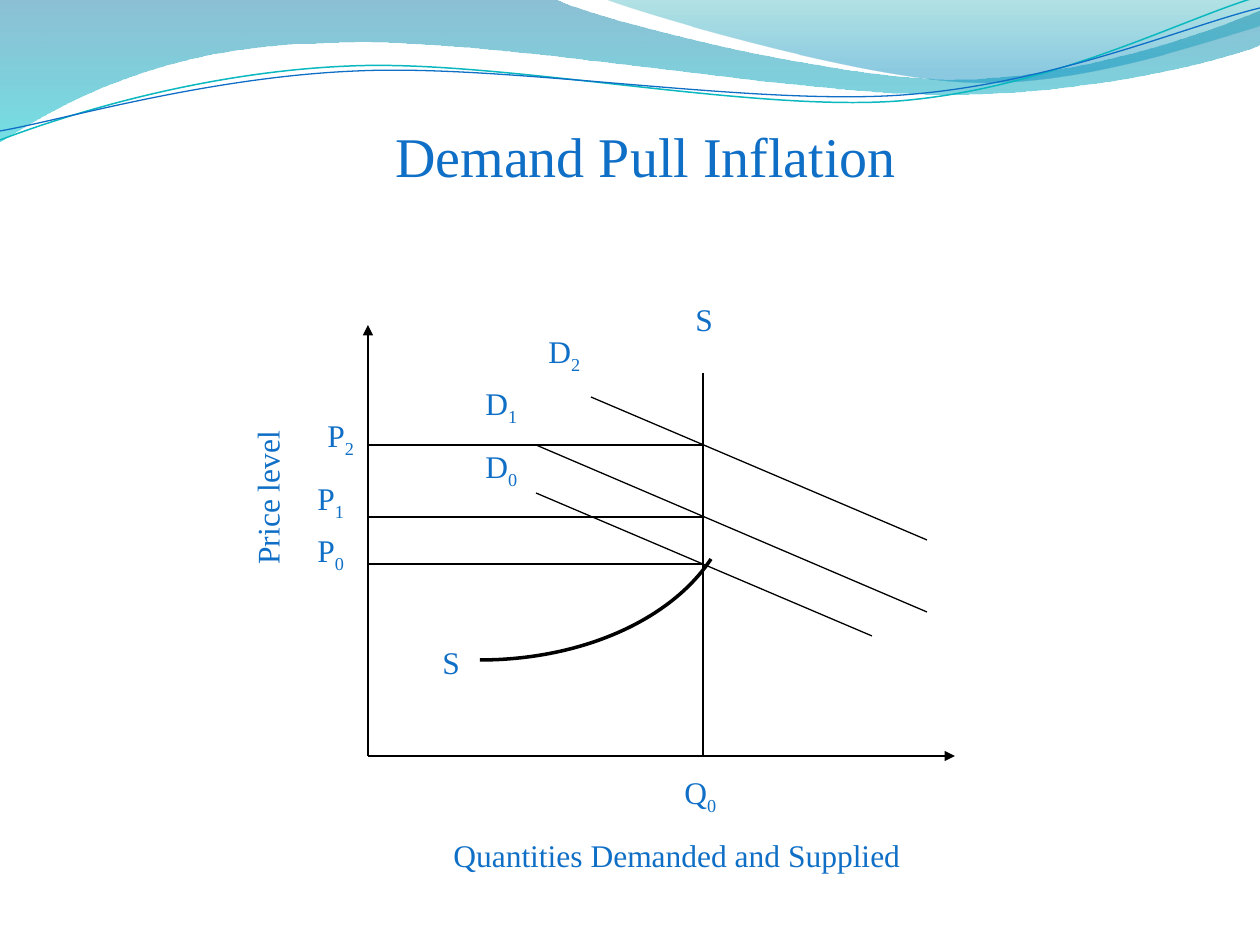
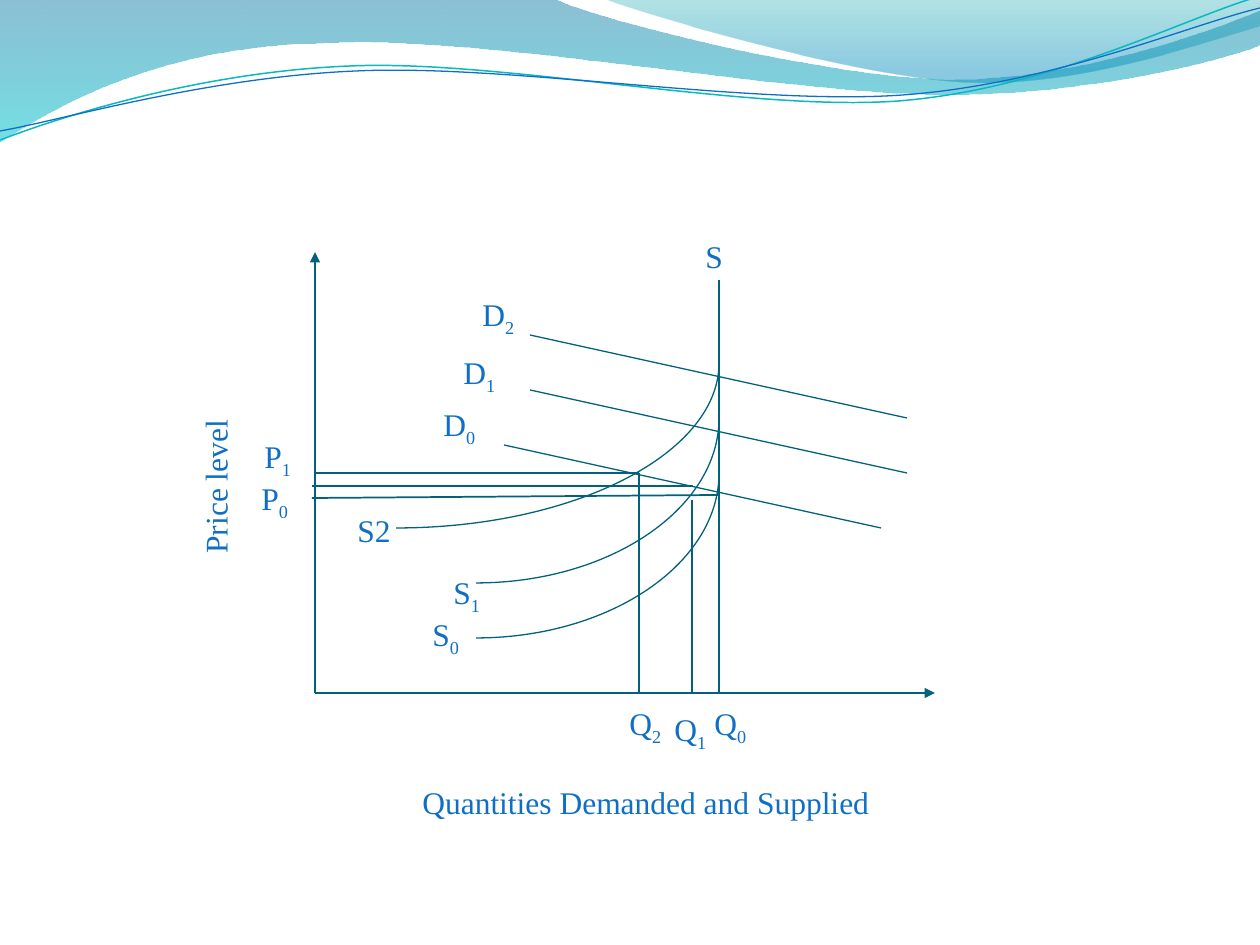
import pptx
import pptx.dml.color
import pptx.enum.shapes
import pptx.enum.text
import pptx.oxml
import pptx.oxml.ns
import pptx.util

PX = 914400 / 126
FONT = "Times New Roman"
COLORS = {
    "text": "0F6FC6",
    "black": "000000",
    "petrol": "04617B",
    "wave_teal": "0AB8BF",
    "band_top": "0074A1",
    "band_bottom": "00C6CF",
    "crest_top": "00A1A9",
    "crest_bottom": "008BBF",
}
LABEL_HEIGHT = 50
SYMBOL_WIDTHS = {"P": 43, "S": 43, "D": 49, "Q": 49, "S2": 59}
SUBSCRIPT_WIDTH = 10

# Outlines: a start point, then segments of one point (line) or three (curve).
BAND = [(0, 0), [(554, -1)],
        [(600, 21), (837, 79), (955, 79)],
        [(1075, 79), (1207, 33), (1260, 11)], [(1261, 45)],
        [(1239, 55), (1096, 96), (940, 94)],
        [(783, 94), (481, 35), (324, 43)],
        [(163, 45), (58, 105), (-1, 142)]]
CREST = [(604, -1), [(641, 14), (859, 78), (969, 82)],
         [(1079, 87), (1211, 40), (1260, 26)], [(1260, 0)]]
TEAL_WAVE = [(0, 140), [(60, 117), (199, 72), (349, 66)],
             [(498, 59), (747, 112), (898, 101)],
             [(1050, 89), (1182, 19), (1257, -3)]]
BLUE_WAVE = [(0, 131), [(59, 121), (207, 77), (357, 71)],
             [(508, 64), (752, 106), (903, 95)],
             [(1053, 84), (1186, 26), (1260, 8)]]


def px(length):
    return pptx.util.Emu(round(length * PX))


def rgb(name):
    return pptx.dml.color.RGBColor.from_string(COLORS[name])


def new_drawing_element(tag, **attributes):
    element = pptx.oxml.parse_xml(f"<a:{tag} {pptx.oxml.ns.nsdecls('a')}/>")
    for name, value in attributes.items():
        element.set(name, str(value))
    return element


def find_all(shape, tag):
    return list(shape.element.iter(pptx.oxml.ns.qn(tag)))


def style_line(shape, color, width):
    shape.line.color.rgb = rgb(color)
    shape.line.width = pptx.util.Pt(width)


def add_outline(slide, outline, closed=False):
    """Draw the points as a polygon, then bend each three-point segment."""
    start, *segments = outline
    points = [(px(x), px(y)) for segment in segments for x, y in segment]
    builder = slide.shapes.build_freeform(*map(px, start))
    builder.add_line_segments(points, close=closed)
    shape = builder.convert_to_shape()
    shape.shadow.inherit = False
    steps = iter(find_all(shape, "a:lnTo"))
    for segment in segments:
        segment_steps = [next(steps) for _ in segment]
        if len(segment) == 3:
            curve = new_drawing_element("cubicBezTo")
            segment_steps[0].addprevious(curve)
            for step in segment_steps:
                curve.append(step[0])
                step.getparent().remove(step)
    return shape


def add_curve(slide, outline, color, width):
    shape = add_outline(slide, outline)
    shape.fill.background()
    style_line(shape, color, width)
    return shape


def add_gradient_area(slide, outline, stops):
    """Fill downwards; stops are (position, colour, opacity percent)."""
    shape = add_outline(slide, outline, closed=True)
    shape.line.fill.background()
    shape.fill.gradient()
    shape.fill.gradient_angle = 270
    for gradient_stop, (position, color, _) in zip(shape.fill.gradient_stops, stops):
        gradient_stop.position = position
        gradient_stop.color.rgb = rgb(color)
    for element, (_, _, opacity) in zip(find_all(shape, "a:srgbClr"), stops):
        element.append(new_drawing_element("alpha", val=opacity * 1000))
    return shape


def add_waves_to_master(presentation, slide):
    """Draw the header waves on a slide, then move them to the master."""
    waves = [
        add_gradient_area(slide, BAND, [(0, "band_top", 45), (1, "band_bottom", 55)]),
        add_gradient_area(slide, CREST, [(0, "crest_top", 30), (0.8, "crest_bottom", 45)]),
        add_curve(slide, TEAL_WAVE, "wave_teal", 0.85),
        add_curve(slide, BLUE_WAVE, "text", 0.75),
    ]
    for shape_id, wave in enumerate(waves, start=101):
        wave.element.nvSpPr.cNvPr.set("id", str(shape_id))
        presentation.slide_master.shapes.element.append(wave.element)


def add_line(slide, start, end, color, width=0.75, arrow=False):
    connector = slide.shapes.add_connector(
        pptx.enum.shapes.MSO_CONNECTOR.STRAIGHT, *map(px, start + end))
    style_line(connector, color, width)
    if arrow:
        connector.get_or_add_ln().append(new_drawing_element("tailEnd", type="triangle"))
    connector.element.spPr.append(new_drawing_element("effectLst"))


def add_axes(slide, origin, top, right, color):
    for end in ((origin[0], top), (right, origin[1])):
        add_line(slide, origin, end, color, arrow=True)


def add_label(slide, left, top, width, text, subscript="", rotation=0):
    box = slide.shapes.add_textbox(px(left), px(top), px(width), px(LABEL_HEIGHT))
    box.rotation = rotation
    frame = box.text_frame
    frame.word_wrap = False
    frame.auto_size = pptx.enum.text.MSO_AUTO_SIZE.SHAPE_TO_FIT_TEXT
    paragraph = frame.paragraphs[0]
    paragraph.font.name = FONT
    paragraph.font.size = pptx.util.Pt(18)
    paragraph.font.color.rgb = rgb("text")
    paragraph.add_run().text = text
    if subscript:
        paragraph.add_run().text = subscript
        find_all(box, "a:r")[-1].get_or_add_rPr().set("baseline", "-25000")


def add_symbols(slide, symbols):
    for left, top, text, subscript in symbols:
        width = SYMBOL_WIDTHS[text] + (SUBSCRIPT_WIDTH if subscript else 0)
        add_label(slide, left, top, width, text, subscript)


def add_axis_titles(slide, price_at, quantity_at):
    add_label(slide, *price_at, 168, "Price level", rotation=270)
    add_label(slide, *quantity_at, 489, "Quantities Demanded and Supplied")


def format_title(slide, text):
    title = slide.shapes.title
    title.left, title.top, title.width, title.height = map(px, (126, 94, 1040, 95))
    frame = title.text_frame
    frame.text = text
    frame.vertical_anchor = pptx.enum.text.MSO_ANCHOR.BOTTOM
    frame.margin_left = frame.margin_right = frame.margin_bottom = 0
    frame.margin_top = pptx.util.Inches(0.05)
    paragraph = frame.paragraphs[0]
    paragraph.alignment = pptx.enum.text.PP_ALIGN.CENTER
    paragraph.font.name = FONT
    paragraph.font.size = pptx.util.Pt(32)
    paragraph.font.color.rgb = rgb("text")


def build_demand_pull(slide):
    color = "black"
    origin = axis_x, base_y = 368, 756
    supply_x = 703
    format_title(slide, "Demand Pull Inflation")
    add_axes(slide, origin, 325, 955, color)
    add_curve(slide, [(480, 660), [(580, 660), (670, 621), (711, 559)]], color, 2)
    add_line(slide, (supply_x, 373), (supply_x, base_y), color)
    for start, end in (((536, 493), (872, 636)),
                       ((536, 445), (927, 612)),
                       ((591, 397), (927, 540))):
        add_line(slide, start, end, color)
    for price_y in (564, 517, 445):
        add_line(slide, (axis_x, price_y), (supply_x, price_y), color)
    add_symbols(slide, [
        (672, 767, "Q", "0"), (683, 294, "S", ""), (430, 637, "S", ""),
        (536, 326, "D", "2"), (473, 378, "D", "1"), (473, 441, "D", "0"),
        (305, 525, "P", "0"), (305, 473, "P", "1"), (315, 410, "P", "2"),
    ])
    add_axis_titles(slide, (183, 468), (441, 830))


def build_supply_shifts(slide):
    color = "petrol"
    origin = axis_x, base_y = 315, 693
    supply_x = 719
    arc_height = 165
    add_axes(slide, origin, 252, 935, color)
    add_line(slide, (supply_x, 280), (supply_x, base_y), color)
    for left, bottom in ((396, 528), (476, 583), (476, 638)):
        quarter = [(left + 0.55 * (supply_x - left), bottom),
                   (supply_x, bottom - 0.45 * arc_height),
                   (supply_x, bottom - arc_height)]
        add_curve(slide, [(left, bottom), quarter], color, 0.75)
    for left, top in ((504, 445), (530, 390), (530, 335)):
        add_line(slide, (left, top), (left + 377, top + 83), color)
    for quantity_x, top in ((692, 500), (639, 473)):
        add_line(slide, (quantity_x, top), (quantity_x, base_y), color)
    add_line(slide, (639, 473), (axis_x, 473), color)
    add_line(slide, (693, 486), (312, 486), color, 1)
    add_line(slide, (supply_x, 495), (312, 498), color, 1)
    add_symbols(slide, [
        (702, 698, "Q", "0"), (662, 704, "Q", "1"), (617, 698, "Q", "2"),
        (420, 609, "S", "0"), (441, 567, "S", "1"), (345, 505, "S2", ""),
        (249, 473, "P", "0"), (252, 431, "P", "1"), (693, 231, "S", ""),
        (431, 399, "D", "0"), (451, 347, "D", "1"), (470, 289, "D", "2"),
    ])
    add_axis_titles(slide, (131, 457), (410, 777))


def main():
    presentation = pptx.Presentation()
    presentation.slide_width, presentation.slide_height = px(1260), px(945)
    title_only, blank = presentation.slide_layouts[5], presentation.slide_layouts[6]
    demand_slide = presentation.slides.add_slide(title_only)
    add_waves_to_master(presentation, demand_slide)
    build_demand_pull(demand_slide)
    build_supply_shifts(presentation.slides.add_slide(blank))
    presentation.save("out.pptx")


if __name__ == "__main__":
    main()
